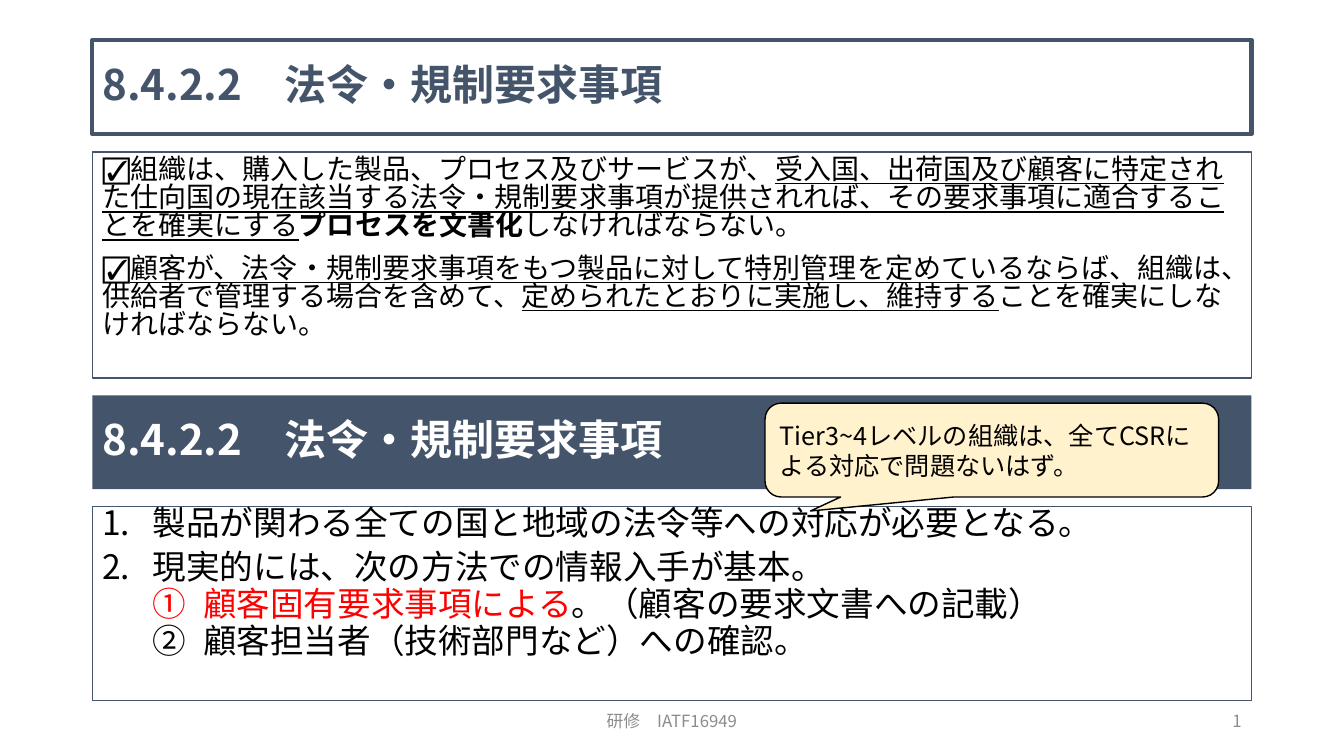
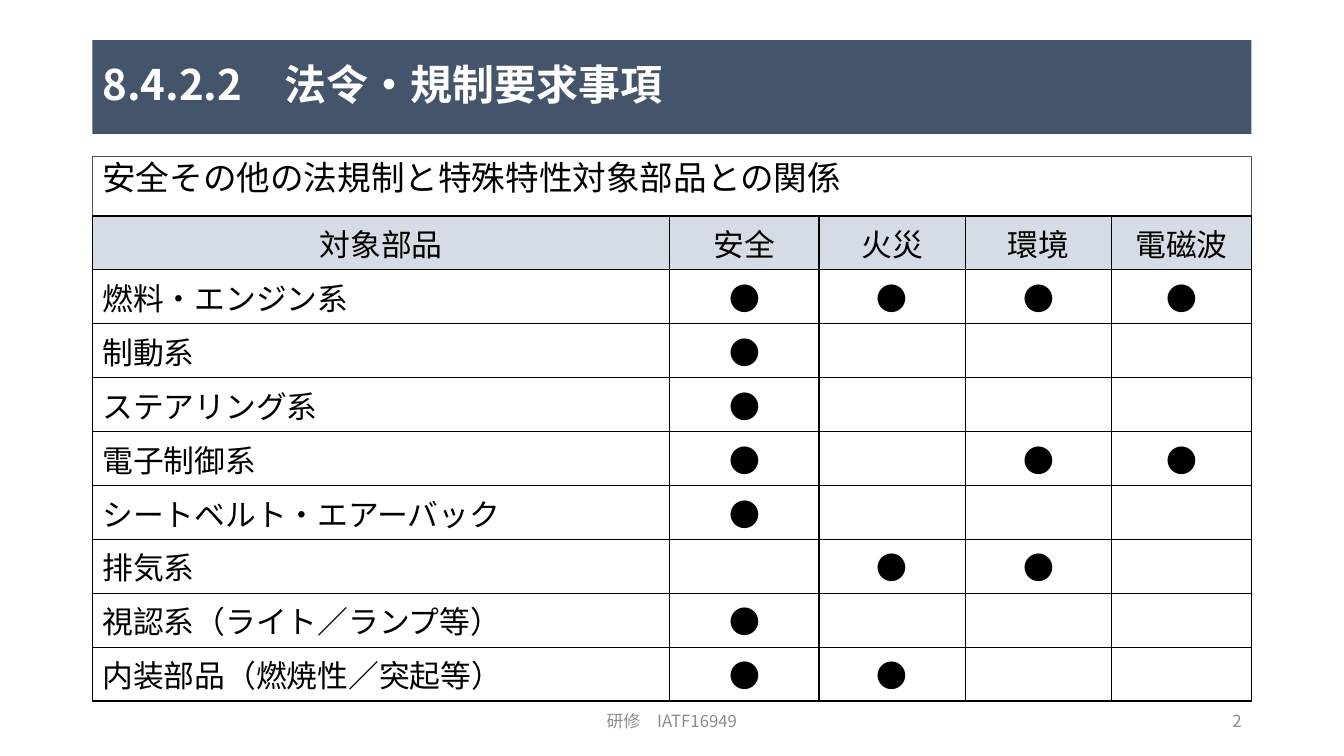
from lxml import etree
from pptx import Presentation
from pptx.dml.color import RGBColor
from pptx.enum.shapes import MSO_SHAPE
from pptx.enum.text import MSO_ANCHOR, PP_ALIGN
from pptx.oxml.ns import qn
from pptx.util import Pt

RECT = MSO_SHAPE.RECTANGLE
CALLOUT = MSO_SHAPE.ROUNDED_RECTANGULAR_CALLOUT
TOP, MIDDLE = MSO_ANCHOR.TOP, MSO_ANCHOR.MIDDLE
LEFT, CENTER, RIGHT = PP_ALIGN.LEFT, PP_ALIGN.CENTER, PP_ALIGN.RIGHT

THEME = {
    "font": "Noto Sans CJK JP",
    "navy": "44546A", "white": "FFFFFF", "black": "000000", "red": "FF0000",
    "gray": "8C8C8C", "cream": "FFF2CC", "header": "D6DCE5",
    "title": 30, "point": 24, "cell": 22, "clause": 20, "remark": 18, "footer": 12,
}
MARGIN, WIDTH, BAND = 66, 828, 67
INDENT = 36
HEADING = "8.4.2.2　法令・規制要求事項"


def write_text(frame, paragraphs, size, color="black", numbering=()):
    for index, (runs, layout) in enumerate(paragraphs):
        paragraph = frame.paragraphs[0] if index == 0 else frame.add_paragraph()
        for key, value in layout.items():
            setattr(paragraph, key, value)
        if numbering:
            properties = paragraph._p.get_or_add_pPr()
            properties.set("marL", str(Pt(INDENT * (paragraph.level + 1))))
            properties.set("indent", str(Pt(-INDENT)))
            etree.SubElement(properties, qn("a:buAutoNum"), type=numbering[paragraph.level])
        for text, style in runs:
            run = paragraph.add_run()
            run.text = text
            settings = {"name": THEME["font"], "size": Pt(THEME[size]), **style}
            ink = settings.pop("ink", color)
            for key, value in settings.items():
                setattr(run.font, key, value)
            run.font.color.rgb = RGBColor.from_string(THEME[ink])
            etree.SubElement(run._r.get_or_add_rPr(), qn("a:ea"), typeface=THEME["font"])


def add_box(slide, place, paragraphs, size, color="black", fill=None, line=None,
            weight=1, anchor=TOP, geometry=RECT, numbering=()):
    box = slide.shapes.add_shape(geometry, *map(Pt, place))
    box.shadow.inherit = False
    if fill:
        box.fill.solid()
        box.fill.fore_color.rgb = RGBColor.from_string(THEME[fill])
    else:
        box.fill.background()
    if line:
        box.line.color.rgb = RGBColor.from_string(THEME[line])
        box.line.width = Pt(weight)
    else:
        box.line.fill.background()
    box.text_frame.word_wrap = True
    box.text_frame.vertical_anchor = anchor
    write_text(box.text_frame, paragraphs, size, color, numbering)
    return box


deck = Presentation()
deck.slide_width, deck.slide_height = Pt(960), Pt(540)
blank = deck.slide_layouts[6]
requirement, relation = [deck.slides.add_slide(blank) for _ in range(2)]

for number, slide in enumerate((requirement, relation), 1):
    footers = [(318, 324, "研修　IATF16949", CENTER), (678, 216, str(number), RIGHT)]
    for left, width, text, alignment in footers:
        footer = slide.shapes.add_textbox(Pt(left), Pt(500.5), Pt(width), Pt(28.75)).text_frame
        footer.word_wrap = True
        footer.vertical_anchor = MIDDLE
        write_text(footer, [([(text, {})], {"alignment": alignment})], "footer", "gray")

solid_band = {"color": "white", "fill": "navy"}
outlined_band = {"color": "navy", "fill": "white", "line": "navy", "weight": 3}
bands = [(requirement, 28.75, outlined_band), (requirement, 282.5, solid_band),
         (relation, 28.75, solid_band)]
for slide, top, look in bands:
    add_box(slide, (MARGIN, top, WIDTH, BAND),
            [([(HEADING, {"bold": True})], {"alignment": LEFT, "line_spacing": 0.9})],
            "title", anchor=MIDDLE, **look)

underlined = {"underline": True}
tight = {"alignment": LEFT, "line_spacing": 0.84}
clauses = [
    ([("☑組織は、購入した製品、プロセス及びサービスが、", {}),
      ("受入国、出荷国及び顧客に特定された仕向国の現在該当する法令・規制要求事項が"
       "提供されれば、その要求事項に適合することを確実にする", underlined),
      ("プロセスを文書化", {"bold": True}),
      ("しなければならない。", {})], tight),
    ([("☑", {}),
      ("顧客が、法令・規制要求事項をもつ製品に対して特別管理を定めているならば", underlined),
      ("、組織は、供給者で管理する場合を含めて、", {}),
      ("定められたとおりに実施し、維持する", underlined),
      ("ことを確実にしなければならない。", {})], {**tight, "space_before": Pt(10)}),
]
add_box(requirement, (MARGIN, 108.5, WIDTH, 161.5), clauses, "clause", line="navy")

point = {"alignment": LEFT, "line_spacing": 0.74}
method = {**point, "level": 1, "space_before": Pt(5)}
points = [
    ([("製品が関わる全ての国と地域の法令等への対応が必要となる。", {})], point),
    ([("現実的には、次の方法での情報入手が基本。", {})], {**point, "space_before": Pt(10)}),
    ([("顧客固有要求事項による", {"ink": "red"}), ("。（顧客の要求文書への記載）", {})], method),
    ([("顧客担当者（技術部門など）への確認。", {})], method),
]
add_box(requirement, (MARGIN, 362, WIDTH, 138.5), points, "point", line="navy",
        numbering=("arabicPeriod", "circleNumDbPlain"))

remark = add_box(requirement, (546.5, 288, 324, BAND),
                 [([("Tier3~4レベルの組織は、全てCSRによる対応で問題ないはず。", {})],
                   {"alignment": LEFT})],
                 "remark", fill="cream", line="black", anchor=MIDDLE, geometry=CALLOUT)
for index, value in enumerate((-0.4, 0.65, 0.17)):
    remark.adjustments[index] = value

add_box(relation, (MARGIN, 111.75, WIDTH, 388.75),
        [([("安全その他の法規制と特殊特性対象部品との関係", {})],
          {"alignment": LEFT, "line_spacing": 0.9})],
        "point", line="navy")

hazards = ["安全", "火災", "環境", "電磁波"]
parts = [
    ("燃料・エンジン系", hazards),
    ("制動系", ["安全"]),
    ("ステアリング系", ["安全"]),
    ("電子制御系", ["安全", "環境", "電磁波"]),
    ("シートベルト・エアーバック", ["安全"]),
    ("排気系", ["火災", "環境"]),
    ("視認系（ライト／ランプ等）", ["安全"]),
    ("内装部品（燃焼性／突起等）", ["安全", "火災"]),
]
rows = [["対象部品", *hazards]]
rows += [[part, *("●" if hazard in marked else "" for hazard in hazards)]
         for part, marked in parts]
row_height = 38.5
matrix = relation.shapes.add_table(len(rows), len(rows[0]), Pt(MARGIN), Pt(154.25),
                                   Pt(WIDTH), Pt(row_height * len(rows))).table
matrix.first_row = matrix.horz_banding = False
for column, width in zip(matrix.columns, (412.5, 106.5, 104.5, 104.5, 100)):
    column.width = Pt(width)
for row_index, row in enumerate(rows):
    matrix.rows[row_index].height = Pt(row_height)
    for column_index, text in enumerate(row):
        cell = matrix.cell(row_index, column_index)
        cell.vertical_anchor = MIDDLE
        for side in ("lnL", "lnR", "lnT", "lnB"):
            border = etree.SubElement(cell._tc.get_or_add_tcPr(), qn(f"a:{side}"), w=str(Pt(1)))
            ink = etree.SubElement(border, qn("a:solidFill"))
            etree.SubElement(ink, qn("a:srgbClr"), val=THEME["black"])
        if row_index == 0:
            cell.fill.solid()
            cell.fill.fore_color.rgb = RGBColor.from_string(THEME["header"])
        else:
            cell.fill.background()
        if text:
            alignment = LEFT if row_index and column_index == 0 else CENTER
            write_text(cell.text_frame, [([(text, {})], {"alignment": alignment})], "cell")

deck.save("out.pptx")
